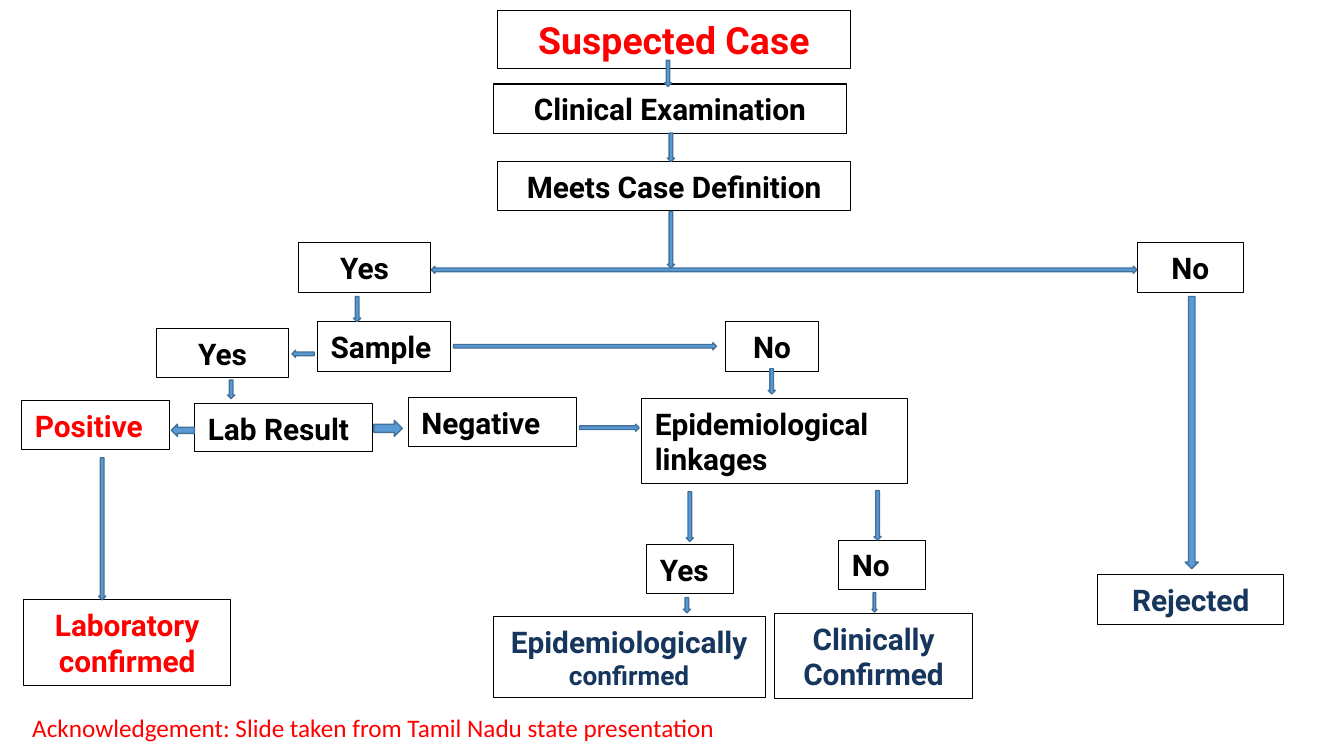
from pptx import Presentation
from pptx.dml.color import RGBColor
from pptx.enum.shapes import MSO_SHAPE as Shape
from pptx.enum.text import MSO_ANCHOR as Anchor, MSO_AUTO_SIZE as AutoSize, PP_ALIGN as Align
from pptx.util import Inches, Pt

COLORS = {"ink": "000000", "alert": "FF0000", "navy": "17365D",
          "arrow": "5B9BD5", "edge": "42719B"}
COLUMNS, ROWS = 160, 90
WIDTH, HEIGHT = Inches(13.33), Inches(7.5)
LINE, DOUBLE = 5.9, 10.2
THIN = 0.85
ARROWS = {"down": Shape.DOWN_ARROW, "left": Shape.LEFT_ARROW,
          "right": Shape.RIGHT_ARROW, "both": Shape.LEFT_RIGHT_ARROW}


def color(name):
    """Return the named colour."""
    return RGBColor.from_string(COLORS[name])


def apply(target, **values):
    """Set each given value on the target."""
    for name, value in values.items():
        setattr(target, name, value)


def place(origin, left, top, width, height):
    """Turn grid cells counted from an origin into slide lengths."""
    column, row = WIDTH / COLUMNS, HEIGHT / ROWS
    return [round(cells * unit) for cells, unit in (
        (origin[0] + left, column), (origin[1] + top, row),
        (width, column), (height, row))]


def write(shape, parts, ink, align, face="Roboto", bold=True):
    """Write (text, size) parts as one paragraph in a shape."""
    para = shape.text_frame.paragraphs[0]
    apply(para, alignment=align, line_spacing=1.0)
    for text, size in parts:
        span = para.add_run()
        span.text = text
        apply(span.font, name=face, size=Pt(size), bold=bold)
        span.font.color.rgb = color(ink)


def outline(shape, name, weight):
    """Draw the edge of a shape."""
    shape.line.color.rgb = color(name)
    shape.line.width = Pt(weight)


def style_step(step, parts, ink, align):
    """Format a step of the flow and write its label."""
    step.fill.background()
    outline(step, "ink", 0.75)
    apply(step.text_frame, word_wrap=True, auto_size=AutoSize.NONE,
          vertical_anchor=Anchor.TOP,
          margin_left=Inches(0.13), margin_right=Inches(0.13),
          margin_top=Inches(0.07), margin_bottom=Inches(0.07))
    write(step, parts, ink, align)


def add_step(page, origin, label, left, top, width, height=LINE,
             ink="ink", align=Align.CENTER):
    """Add a bordered step, its label a text or (text, size) parts."""
    step = page.shapes.add_shape(Shape.RECTANGLE, *place(origin, left, top, width, height))
    step.shadow.inherit = False
    parts = [(label, 21.3)] if isinstance(label, str) else label
    style_step(step, parts, ink, align)


def add_arrow(page, origin, heading, left, top, length, thickness=THIN):
    """Add a block arrow with the given heading."""
    size = (thickness, length) if heading == "down" else (length, thickness)
    arrow = page.shapes.add_shape(ARROWS[heading], *place(origin, left, top, *size))
    arrow.shadow.inherit = False
    arrow.fill.solid()
    arrow.fill.fore_color.rgb = color("arrow")
    outline(arrow, "edge", 1)


def add_intake(page, origin):
    """Add the title, the examination and the case definition branches."""
    title = page.shapes.title
    left, top, width, height = place(origin, 23.7, 0, 42.1, 7)
    apply(title, left=left, top=top, width=width, height=height)
    style_step(title, [("Suspected Case", 26.7)], "alert", Align.CENTER)
    for label, *cells in (("Clinical Examination", 23.2, 8.8, 42.1),
                          ("Meets Case Definition", 23.7, 18, 42.1),
                          ("Yes", 0, 27.7, 15.8),
                          ("No", 99.9, 27.7, 12.6)):
        add_step(page, origin, label, *cells)
    for arrow in (("down", 43.6, 6, 3.1), ("down", 43.95, 14.65, 3.4),
                  ("down", 43.95, 24, 6.7), ("both", 15.85, 30.5, 84)):
        add_arrow(page, origin, *arrow)


def add_sampling(page, origin):
    """Add the sample step with its two branches."""
    add_step(page, origin, "Sample", 19.2, 3, 15.8, align=Align.LEFT)
    add_step(page, origin, "Yes", 0, 3.8, 15.8)
    add_step(page, origin, "No", 67.8, 3, 11)
    for arrow in (("down", 23.5, 0, 3), ("left", 16.15, 6.4, 2.65),
                  ("right", 35.4, 5.5, 31.3), ("down", 72.85, 8.6, 3),
                  ("down", 8.5, 9.95, 2.2)):
        add_arrow(page, origin, *arrow)


def add_laboratory(page, origin):
    """Add the laboratory results and the confirmed outcome."""
    add_step(page, origin, "Lab Result", 20.6, 0.7, 21.2, 5.8, align=Align.LEFT)
    add_step(page, origin, "Positive", 0, 0.35, 17.6, ink="alert", align=Align.LEFT)
    add_step(page, origin, "Negative", 46, 0, 20, align=Align.LEFT)
    add_step(page, origin, "Laboratory confirmed", 0.25, 24.1, 24.6, DOUBLE, "alert")
    for arrow in (("down", 9.15, 7.2, 16.9), ("left", 17.8, 3.2, 2.75, 1.45),
                  ("right", 41.9, 2.75, 3.4, 1.9), ("right", 66.4, 3.2, 7.1)):
        add_arrow(page, origin, *arrow)


def add_linkage(page, origin):
    """Add the epidemiological linkages and their two outcomes."""
    for label, *cells in (("Epidemiological linkages", 17.7, 0, 31.6, DOUBLE),
                          ("Yes", 18.3, 17.4, 10.3),
                          ("No", 41.15, 16.9, 10.3)):
        add_step(page, origin, label, *cells, align=Align.LEFT)
    linked = [("Epidemiologically", 21.3), (" confirmed", 18.7)]
    add_step(page, origin, linked, 0, 26, 32.4, 9.7, "navy")
    add_step(page, origin, "Clinically Confirmed", 33.5, 25.6, 23.6, DOUBLE, "navy")
    for arrow in (("down", 23, 11.15, 5.9), ("down", 45.35, 11, 5.9),
                  ("down", 22.65, 23.75, 1.8), ("down", 45.1, 23.15, 2.3, 0.6)):
        add_arrow(page, origin, *arrow)


def add_rejection(page, origin):
    """Add the rejected outcome."""
    add_step(page, origin, "Rejected", 0, 33.1, 22.1, ink="navy")
    add_arrow(page, origin, "down", 10.4, 0, 32.4, 1.55)


def add_footer(page, origin):
    """Add the acknowledgement line."""
    footer = page.shapes.add_textbox(*place(origin, 0, 0, 85.7, 4.8))
    footer.text_frame.word_wrap = False
    text = "Acknowledgement: Slide taken from Tamil Nadu state presentation"
    write(footer, [(text, 18)], "alert", Align.LEFT, "Calibri", False)


def main():
    """Build and save the deck."""
    deck = Presentation()
    apply(deck, slide_width=WIDTH, slide_height=HEIGHT)
    page = deck.slides.add_slide(deck.slide_layouts.get_by_name("Title Only"))
    for add_region, origin in ((add_intake, (35.5, 1.2)),
                               (add_sampling, (18.6, 35.3)),
                               (add_laboratory, (2.6, 47.3)),
                               (add_linkage, (58.7, 47.4)),
                               (add_rejection, (130.7, 35.3)),
                               (add_footer, (2.65, 84.25))):
        add_region(page, origin)
    deck.save("out.pptx")


if __name__ == "__main__":
    main()
